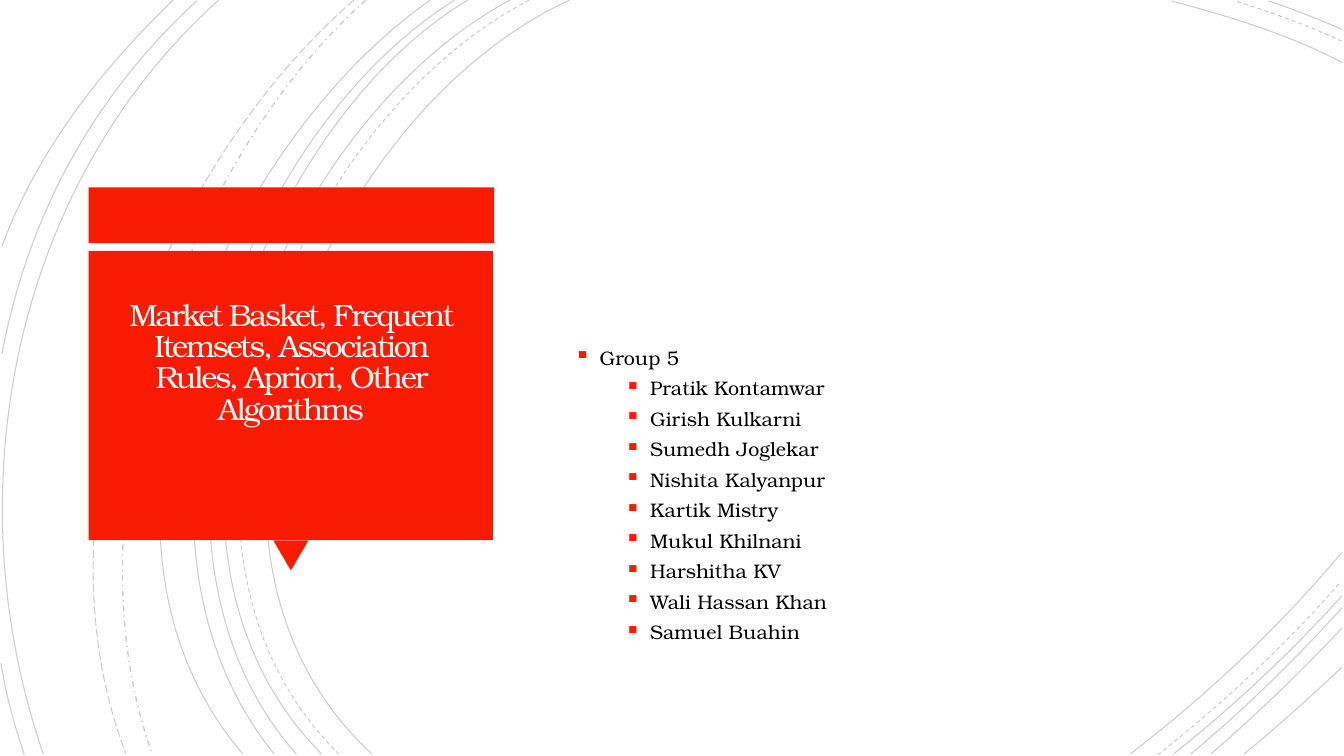
import pptx
import pptx.util
import pptx.dml.color
import pptx.enum.dml
import pptx.enum.shapes
import pptx.enum.text
import pptx.oxml.ns
import lxml.etree

# Content
TOPIC = "Market Basket, Frequent Itemsets, Association Rules, Apriori, Other Algorithms"
GROUP = "Group 5"
MEMBERS = [
    "Pratik Kontamwar", "Girish Kulkarni", "Sumedh Joglekar",
    "Nishita Kalyanpur", "Kartik Mistry", "Mukul Khilnani",
    "Harshitha KV", "Wali Hassan Khan", "Samuel Buahin",
]

# Background arcs in px: start, two control points, end; grouped by line style
ARCS = {
    "SOLID": [
        [(565, 0), (315, 115), (143, 540), (369, 748)],
        [(1331, 62), (1278, 34), (1218, 16), (1162, 1)],
        [(1121, 748), (1197, 690), (1269, 622), (1331, 548)],
        [(506, 0), (270, 127), (110, 537), (319, 748)],
        [(1331, 29), (1307, 19), (1283, 9), (1258, 1)],
        [(1164, 748), (1223, 701), (1280, 648), (1331, 591)],
        [(464, 0), (244, 133), (110, 541), (294, 748)],
        [(1181, 748), (1234, 704), (1284, 655), (1331, 603)],
        [(451, 0), (231, 138), (97, 533), (272, 748)],
        [(1201, 748), (1246, 709), (1290, 667), (1331, 623)],
        [(427, 0), (217, 147), (53, 529), (241, 748)],
        [(1234, 748), (1267, 721), (1299, 692), (1331, 662)],
        [(217, 0), (11, 185), (-46, 490), (43, 748)],
        [(195, 1), (92, 96), (28, 214), (2, 351)],
        [(1, 658), (6, 689), (14, 719), (24, 748)],
        [(172, 0), (100, 69), (37, 150), (2, 244)],
    ],
    "DASH": [
        [(525, 0), (285, 125), (123, 537), (336, 748)],
        [(1331, 41), (1297, 25), (1260, 12), (1225, 1)],
        [(1148, 749), (1213, 698), (1275, 640), (1330, 577)],
    ],
    "DASH_DOT": [[(363, 0), (176, 166), (65, 509), (151, 748)]],
    "LONG_DASH": [[(351, 0), (157, 169), (29, 499), (125, 748)]],
}

# Title card in px: preset, left, top, width, height, rotation
CARD = [
    ("RECTANGLE", 88, 186, 402, 55, 0),
    ("ISOSCELES_TRIANGLE", 271, 536, 35, 30, 180),
    ("RECTANGLE", 88, 249, 401, 287, 0),
]
TOPIC_BOX, TOPIC_INSETS = (97, 258, 383, 268), (25, 25, 25, 87)
GROUP_BOX, GROUP_INSETS = (560, 338, 687, 324), (10, 5, 10, 5)
INDENT, MEMBER_STEP = 25, 50

THEME = {
    "font": "TeX Gyre Bonum", "accent": "F81B02", "arc": "000000",
    "arc_alpha": 20, "topic": "FFFEFF", "body": "000000",
    "topic_size": 22, "body_size": 14, "arc_width": 0.75, "dot_width": 1,
}
PX = 9144  # 100 px to the inch


def px(*lengths):
    return [pptx.util.Emu(length * PX) for length in lengths]


def colour(name):
    return pptx.dml.color.RGBColor.from_string(THEME[name])


def add_arc(slide, points, dash):
    pen = slide.shapes.build_freeform(*points[0], scale=PX)
    pen.add_line_segments(points[1:], close=False)
    arc = pen.convert_to_shape()
    # Join the three straight segments into one cubic curve
    path = arc._element.find(".//" + pptx.oxml.ns.qn("a:path"))
    curve = lxml.etree.SubElement(path, pptx.oxml.ns.qn("a:cubicBezTo"))
    for segment in path.findall(pptx.oxml.ns.qn("a:lnTo")):
        curve.append(segment[0])
        path.remove(segment)
    arc.shadow.inherit = False
    arc.fill.background()
    arc.line.color.rgb = colour("arc")
    arc.line.width = pptx.util.Pt(THEME["dot_width" if dash == "DASH_DOT" else "arc_width"])
    arc.line.dash_style = getattr(pptx.enum.dml.MSO_LINE, dash)
    ink = arc._element.find(".//" + pptx.oxml.ns.qn("a:ln")).find(".//" + pptx.oxml.ns.qn("a:srgbClr"))
    lxml.etree.SubElement(ink, pptx.oxml.ns.qn("a:alpha"), val=str(THEME["arc_alpha"] * 1000))


def add_frame(slide, box, insets, anchor):
    frame = slide.shapes.add_textbox(*px(*box)).text_frame
    frame.word_wrap = True
    frame.vertical_anchor = anchor
    (frame.margin_left, frame.margin_top,
     frame.margin_right, frame.margin_bottom) = px(*insets)
    return frame


def add_run(paragraph, text, role, size):
    run = paragraph.add_run()
    run.text = text
    run.font.name = THEME["font"]
    run.font.size = pptx.util.Pt(THEME[size])
    run.font.color.rgb = colour(role)
    return run


def add_bullet(paragraph, indent):
    props = paragraph._p.get_or_add_pPr()
    props.set("marL", str(indent * PX))
    props.set("indent", str(-INDENT * PX))
    tint = lxml.etree.SubElement(props, pptx.oxml.ns.qn("a:buClr"))
    lxml.etree.SubElement(tint, pptx.oxml.ns.qn("a:srgbClr"), val=THEME["accent"])
    lxml.etree.SubElement(props, pptx.oxml.ns.qn("a:buSzPct"), val="110000")
    lxml.etree.SubElement(props, pptx.oxml.ns.qn("a:buChar"), char="▪")


def main():
    deck = pptx.Presentation()
    deck.slide_width, deck.slide_height = px(1333, 750)
    slide = deck.slides.add_slide(deck.slide_layouts[6])

    # Background arcs
    for dash, arcs in ARCS.items():
        for points in arcs:
            add_arc(slide, points, dash)

    # Title card
    for preset, left, top, width, height, rotation in CARD:
        kind = getattr(pptx.enum.shapes.MSO_SHAPE, preset)
        part = slide.shapes.add_shape(kind, *px(left, top, width, height))
        part.rotation = rotation
        part.shadow.inherit = False
        part.fill.solid()
        part.fill.fore_color.rgb = colour("accent")
        part.line.fill.background()

    # Topic
    topic = add_frame(slide, TOPIC_BOX, TOPIC_INSETS, pptx.enum.text.MSO_ANCHOR.MIDDLE).paragraphs[0]
    topic.alignment = pptx.enum.text.PP_ALIGN.CENTER
    topic.line_spacing = 0.85
    topic_run = add_run(topic, TOPIC, "topic", "topic_size")
    topic_run._r.get_or_add_rPr().set("spc", "-150")

    # Group and its members
    roster = add_frame(slide, GROUP_BOX, GROUP_INSETS, pptx.enum.text.MSO_ANCHOR.TOP)
    group = roster.paragraphs[0]
    add_bullet(group, INDENT)
    add_run(group, GROUP, "body", "body_size")
    for name in MEMBERS:
        member = roster.add_paragraph()
        member.level = 1
        member.space_before = pptx.util.Pt(5)
        add_bullet(member, INDENT + MEMBER_STEP)
        add_run(member, name, "body", "body_size")

    deck.save("out.pptx")


if __name__ == "__main__":
    main()
